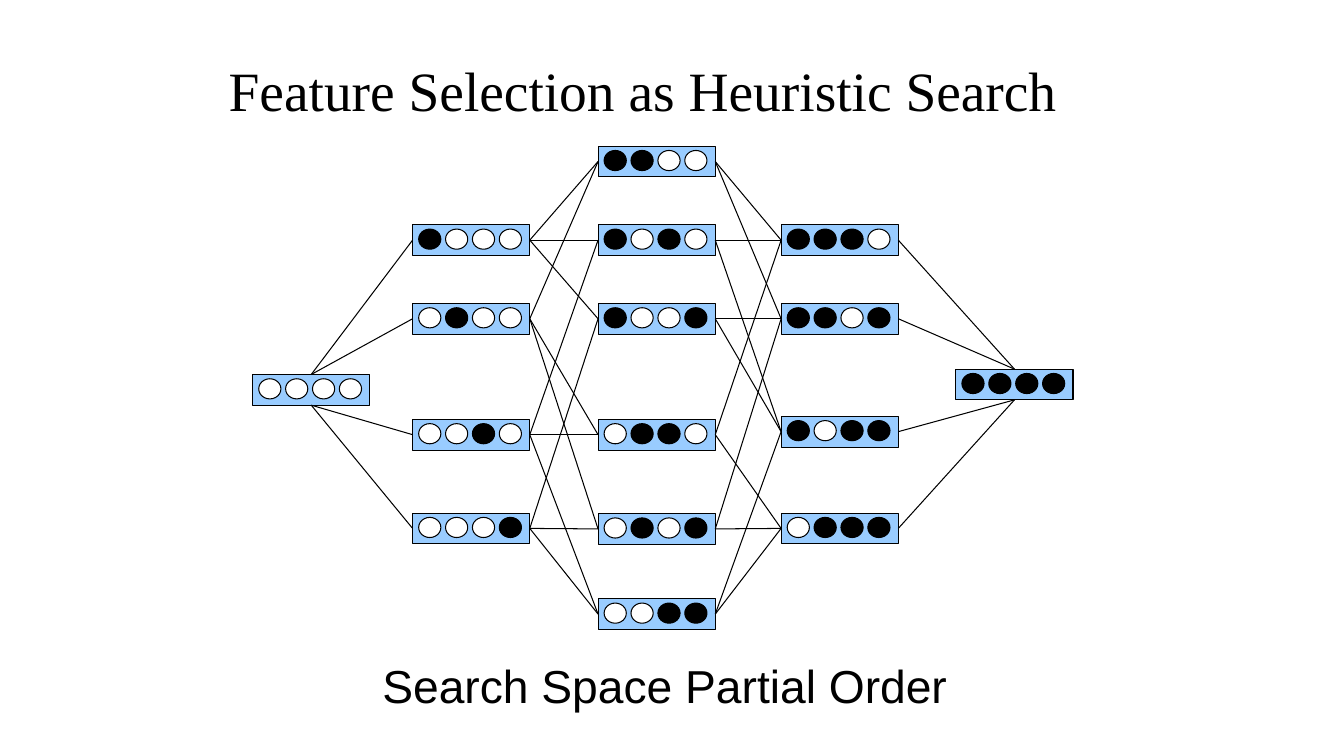
import itertools
from dataclasses import dataclass

import lxml.etree
import pptx
import pptx.dml.color
import pptx.enum.shapes
import pptx.enum.text
import pptx.oxml.ns
import pptx.util

SHAPES = pptx.enum.shapes.MSO_SHAPE
ALIGN = pptx.enum.text.PP_ALIGN
TOP, LEFT, BOTTOM, RIGHT = range(4)


@dataclass(frozen=True)
class Theme:
    ink: str = "000000"
    paper: str = "FFFFFF"
    box: str = "99CCFF"
    title_font: str = "Times New Roman"
    caption_font: str = "Arial"
    title_size: float = 39.6
    caption_size: float = 33
    line_width: float = 0.75


def apply(target, values):
    for name, value in values.items():
        setattr(target, name, value)


def rgb(color):
    return pptx.dml.color.RGBColor.from_string(color)


class LatticeSlide:
    """Draws feature subsets on one slide, in a grid of 100 columns by 75 rows."""

    def __init__(self, presentation, theme):
        self.theme = theme
        self.slide = presentation.slides.add_slide(presentation.slide_layouts[6])
        self.column = presentation.slide_width / 100
        self.row = presentation.slide_height / 75

    def place(self, left, top, width, height):
        return (round(left * self.column), round(top * self.row),
                round(width * self.column), round(height * self.row))

    def outline(self, line):
        line.color.rgb = rgb(self.theme.ink)
        line.width = pptx.util.Pt(self.theme.line_width)

    def text(self, area, words, font, size, frame_format, paragraph_format):
        frame = self.slide.shapes.add_textbox(*self.place(*area)).text_frame
        apply(frame, {"word_wrap": True,
                      "vertical_anchor": pptx.enum.text.MSO_ANCHOR.MIDDLE, **frame_format})
        paragraph = frame.paragraphs[0]
        apply(paragraph, {"text": words, **paragraph_format})
        apply(paragraph.runs[0].font, {"name": font, "size": pptx.util.Pt(size)})
        paragraph.runs[0].font.color.rgb = rgb(self.theme.ink)

    def shape(self, kind, area, color):
        shape = self.slide.shapes.add_shape(kind, *self.place(*area))
        shape.shadow.inherit = False
        shape.fill.solid()
        shape.fill.fore_color.rgb = rgb(color)
        self.outline(shape.line)
        return shape

    def subset(self, left, top, bits):
        box = self.shape(SHAPES.ROUNDED_RECTANGLE, (left, top, 8.72, 3.05), self.theme.box)
        box.adjustments[0] = 0
        for index, bit in enumerate(bits):
            color = self.theme.ink if bit == "1" else self.theme.paper
            self.shape(SHAPES.OVAL, (left + 0.45 + 2 * index, top + 0.43, 1.65, 2), color)
        return box

    def link(self, start, start_side, end, end_side):
        connector = self.slide.shapes.add_connector(
            pptx.enum.shapes.MSO_CONNECTOR.STRAIGHT, 0, 0, 0, 0)
        connector.begin_connect(start, start_side)
        connector.end_connect(end, end_side)
        self.outline(connector.line)
        lxml.etree.SubElement(connector._element.spPr, pptx.oxml.ns.qn("a:effectLst"))


LAYERS = [
    (18.8, {"0000": 37.15}),
    (30.7, {"1000": 22.3, "0100": 30.1, "0010": 41.6, "0001": 50.9}),
    (44.5, {"1100": 14.5, "1010": 22.3, "1001": 30.1,
            "0110": 41.6, "0101": 50.95, "0011": 59.4}),
    (58.12, {"1110": 22.3, "1101": 30.1, "1011": 41.3, "0111": 50.9}),
    (71.12, {"1111": 36.62}),
]


def is_subset(smaller, larger):
    return all(low <= high for low, high in zip(smaller, larger))


def facing_side(node, other, layer, side):
    if len(layer) > 1:
        return side
    return TOP if other.top < node.top else BOTTOM


def main():
    presentation = pptx.Presentation()
    apply(presentation, {"slide_width": pptx.util.Inches(13.33),
                         "slide_height": pptx.util.Inches(7.5)})
    theme = Theme()
    lattice = LatticeSlide(presentation, theme)
    inch = pptx.util.Inches
    lattice.text((16.28, 3, 67.5, 12.5), "Feature Selection as Heuristic Search",
                 theme.title_font, theme.title_size,
                 {"margin_top": inch(0.03)},
                 {"alignment": ALIGN.LEFT, "line_spacing": 0.95})
    lattice.text((25.47, 64.8, 48, 6), "Search Space Partial Order",
                 theme.caption_font, theme.caption_size,
                 {"margin_top": inch(0.08), "margin_bottom": inch(0.04)},
                 {"alignment": ALIGN.CENTER})

    layers = [{bits: lattice.subset(left, top, bits) for bits, top in tops.items()}
              for left, tops in LAYERS]
    for near, far in zip(layers, layers[1:]):
        for smaller, larger in itertools.product(near, far):
            if is_subset(smaller, larger):
                start, end = near[smaller], far[larger]
                lattice.link(start, facing_side(start, end, near, RIGHT),
                             end, facing_side(end, start, far, LEFT))
    presentation.save("out.pptx")


if __name__ == "__main__":
    main()
